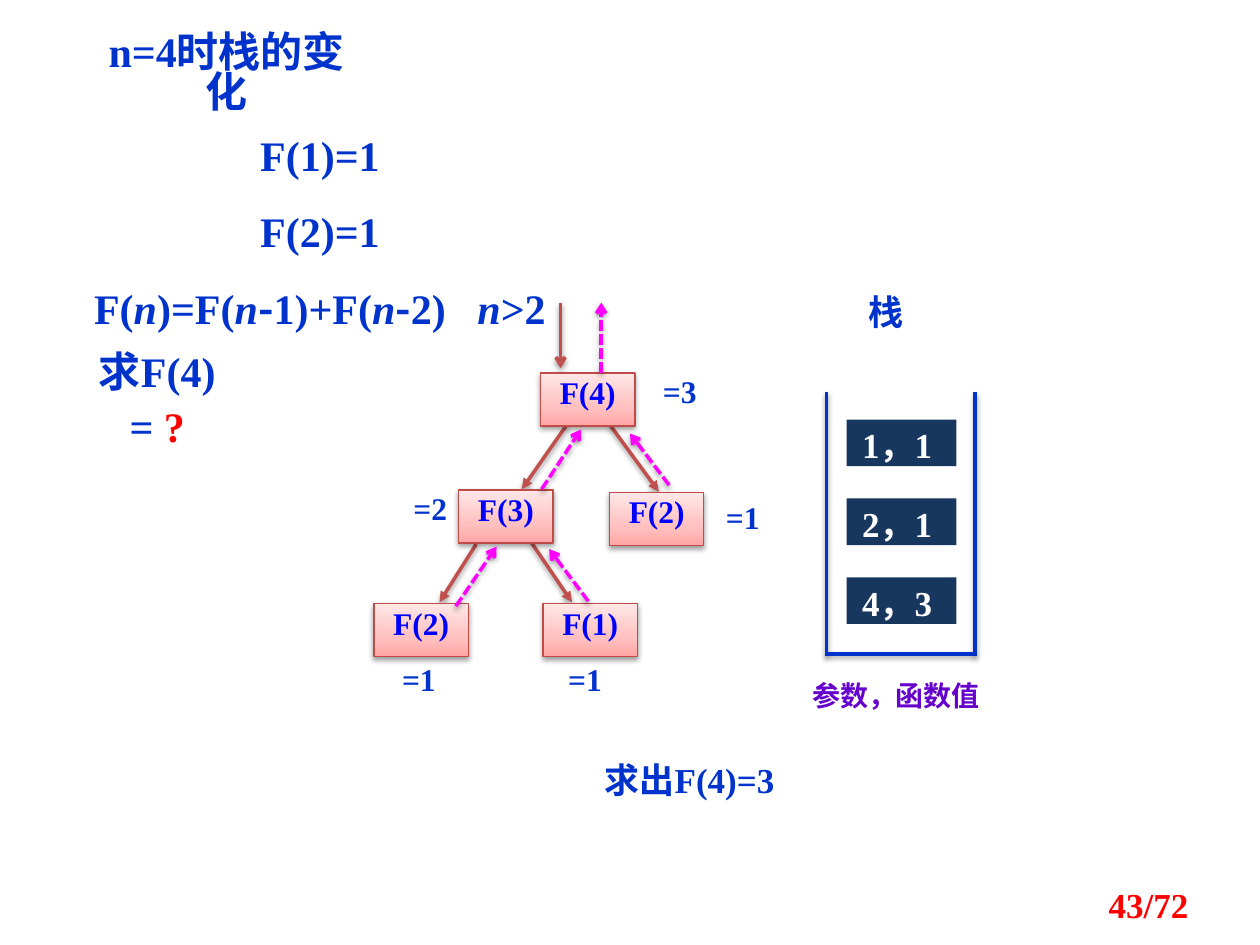
from copy import deepcopy
from dataclasses import dataclass
from itertools import groupby

from lxml import etree
from pptx import Presentation
from pptx import util as u
from pptx.dml.color import RGBColor
from pptx.enum import dml, shapes, text
from pptx.oxml.ns import qn


@dataclass(frozen=True)
class Theme:
    latin: str = "Times New Roman"
    chinese: str = "Noto Sans CJK SC"
    blue: str = "0033CC"
    red: str = "FF0000"
    purple: str = "6600CC"
    white: str = "FFFFFF"
    cell: str = "17375E"
    node_text: str = "0000FF"
    node_line: str = "BF4C48"
    node_fill: tuple = ((0, "FFA6A5"), (0.35, "FFC0BF"), (1, "FFE7E7"))
    edge: str = "C0504D"
    back: str = "FF00FF"
    large: int = 24
    medium: int = 20
    normal: int = 18
    small: int = 16


THEME = Theme()


def rgb(color):
    return RGBColor.from_string(color)


def add_child(parent, tag, **attributes):
    return etree.SubElement(parent, qn(tag), attributes)


def add_shadow(item):
    effects = add_child(item._element.spPr, "a:effectLst")
    shadow = add_child(effects, "a:outerShdw", blurRad=str(u.Pt(3.1)),
                       dist=str(u.Pt(1.6)), dir="5400000", rotWithShape="0")
    color = add_child(shadow, "a:srgbClr", val="000000")
    add_child(color, "a:alpha", val="38000")


def add_span(para, words, size, color, font=THEME.latin, bold=True):
    span = para.add_run()
    span.text = words
    span.font.size = u.Pt(size)
    span.font.bold = bold
    span.font.color.rgb = rgb(color)
    span.font.name = font
    add_child(span._r.get_or_add_rPr(), "a:ea", typeface=THEME.chinese)
    return span


def space_para(para, spacing=1.1):
    para.alignment = text.PP_ALIGN.CENTER
    para.line_spacing = spacing
    before = add_child(para._p.get_or_add_pPr(), "a:spcBef")
    add_child(before, "a:spcPct", val="50000")


def set_margins(frame, left=0, top=0, right=0, bottom=0):
    frame.margin_left, frame.margin_top = u.Cm(left), u.Cm(top)
    frame.margin_right, frame.margin_bottom = u.Cm(right), u.Cm(bottom)


def add_text(page, left, top, width, height):
    box = page.shapes.add_textbox(u.Cm(left), u.Cm(top), u.Cm(width), u.Cm(height))
    box.text_frame.word_wrap = True
    return box.text_frame


def add_label(page, area, words, size, color=THEME.blue, font=THEME.latin, spacing=1.1):
    frame = add_text(page, *area)
    para = frame.paragraphs[0]
    space_para(para, spacing)
    add_span(para, words, size, color, font)
    return frame


def add_line(page, left, top, ends, color, head=None, dashed=False):
    x1, y1, x2, y2 = ends
    line = page.shapes.add_connector(
        shapes.MSO_CONNECTOR.STRAIGHT, u.Cm(left + x1), u.Cm(top + y1),
        u.Cm(left + x2), u.Cm(top + y2))
    line.line.color.rgb = rgb(color)
    line.line.width = u.Pt(2)
    if dashed:
        line.line.dash_style = dml.MSO_LINE.SQUARE_DOT
    if head:
        add_child(line.line._get_or_add_ln(), "a:tailEnd", type=head)
    add_shadow(line)


def add_rectangle(page, left, top, width, height):
    box = page.shapes.add_shape(shapes.MSO_SHAPE.RECTANGLE, u.Cm(left), u.Cm(top),
                                u.Cm(width), u.Cm(height))
    box.text_frame.vertical_anchor = text.MSO_ANCHOR.TOP
    return box


def add_node(page, left, top, words):
    box = add_rectangle(page, left, top, 1.9, 1.07)
    box.fill.gradient()
    box.fill.gradient_angle = 90
    stops = box._element.spPr.find(".//" + qn("a:gsLst"))
    stops.insert(1, deepcopy(stops[0]))
    for stop, (position, color) in zip(box.fill.gradient_stops, THEME.node_fill):
        stop.position = position
        stop.color.rgb = rgb(color)
    box.line.color.rgb = rgb(THEME.node_line)
    box.line.width = u.Pt(0.75)
    add_shadow(box)
    para = box.text_frame.paragraphs[0]
    para.alignment = text.PP_ALIGN.CENTER
    para.line_spacing = u.Pt(18)
    add_span(para, words, THEME.normal, THEME.node_text)


def add_cell(page, left, top, words):
    box = add_rectangle(page, left, top, 2.21, 0.94)
    box.fill.solid()
    box.fill.fore_color.rgb = rgb(THEME.cell)
    box.line.fill.background()
    box.shadow.inherit = False
    set_margins(box.text_frame)
    para = box.text_frame.paragraphs[0]
    space_para(para)
    add_span(para, words, THEME.medium, THEME.white)


def add_definition(page, left, top):
    title = add_label(page, (left + 0.66, top, 6.12, 1.27), "n=4时栈的变化",
                      THEME.large, spacing=0.8)
    set_margins(title, 0.18, 0.13, 0.86, 0.13)
    frame = add_text(page, left, top + 1.8, 10.52, 3.56)
    for index, formula in enumerate(("F(1)=1", "F(2)=1", "F(n)=F(n-1)+F(n-2) n>2")):
        para = frame.paragraphs[0] if index == 0 else frame.add_paragraph()
        space_para(para)
        for kind, letters in groupby(formula, lambda c: c if c in "n- " else ""):
            font = THEME.chinese if kind == "-" else THEME.latin
            span = add_span(para, "".join(letters), THEME.large, THEME.blue, font)
            span.font.italic = kind == "n"
            if kind == " ":
                span._r.get_or_add_rPr().set("spc", "1200")
    question = add_label(page, (left, top + 6.15, 3.96, 1.3), "求F(4) = ", THEME.large)
    add_span(question.paragraphs[0], "?", THEME.large, THEME.red)


def add_call_tree(page, left, top):
    nodes = (("F(2)", 0.04, 6.07, "=1", 0.35, 7.13),
             ("F(1)", 3.45, 6.07, "=1", 3.7, 7.13),
             ("F(3)", 1.75, 3.78, "=2", 0.58, 3.68),
             ("F(2)", 4.79, 3.83, "=1", 6.88, 3.86),
             ("F(4)", 3.4, 1.42, "=3", 5.61, 1.32))
    calls = ((2.1, 4.87, 1.36, 6.04), (3.22, 4.85, 4.03, 6.04),
             (3.93, 2.46, 3.02, 3.76), (4.79, 2.46, 5.78, 3.81))
    returns = ((3.42, 3.76, 4.21, 2.56), (1.69, 6.12, 2.51, 4.92),
               (4.36, 6.02, 3.57, 4.97), (5.99, 3.68, 5.2, 2.64),
               (4.62, 1.42, 4.62, 0))
    for ends in calls:
        add_line(page, left, top, ends, THEME.edge, "triangle")
    for name, x, y, value, value_x, value_y in nodes:
        add_node(page, left + x, top + y, name)
        area = (left + value_x, top + value_y, 1.19, 0.84)
        set_margins(add_label(page, area, value, THEME.normal))
    add_line(page, left, top, (3.8, 0, 3.8, 1.32), THEME.edge, "arrow")
    for ends in returns:
        add_line(page, left, top, ends, THEME.back, "arrow", dashed=True)


def add_stack(page, left, top):
    add_label(page, (left + 0.99, top, 1.98, 1.19), "栈", THEME.medium, font=THEME.chinese)
    for ends in ((0.78, 2.26, 0.78, 7.59), (3.78, 2.26, 3.78, 7.59),
                 (0.78, 7.54, 3.78, 7.54)):
        add_line(page, left, top, ends, THEME.blue)
    for row, words in enumerate(("1，1 ", "2，1 ", "4，3 ")):
        add_cell(page, left + 1.19, top + 2.82 + 1.59 * row, words)
    add_label(page, (left, top + 7.85, 4.37, 1.02), "参数，函数值", THEME.small,
              THEME.purple, THEME.chinese)


def add_page_number(page, left, top):
    frame = add_text(page, left, top, 5.92, 1.02)
    frame.vertical_anchor = text.MSO_ANCHOR.MIDDLE
    para = frame.paragraphs[0]
    para.alignment = text.PP_ALIGN.RIGHT
    add_span(para, "43/72", THEME.medium, THEME.red)


def main():
    deck = Presentation()
    deck.slide_width, deck.slide_height = u.Cm(25.4), u.Cm(19.05)
    page = deck.slides.add_slide(deck.slide_layouts[6])
    add_definition(page, 1.19, 0.58)
    add_call_tree(page, 7.5, 6.1)
    add_stack(page, 15.88, 5.64)
    add_label(page, (11.51, 15.09, 4.78, 1.19), "求出F(4)=3", THEME.medium)
    add_page_number(page, 18.29, 17.73)
    deck.save("out.pptx")


if __name__ == "__main__":
    main()
